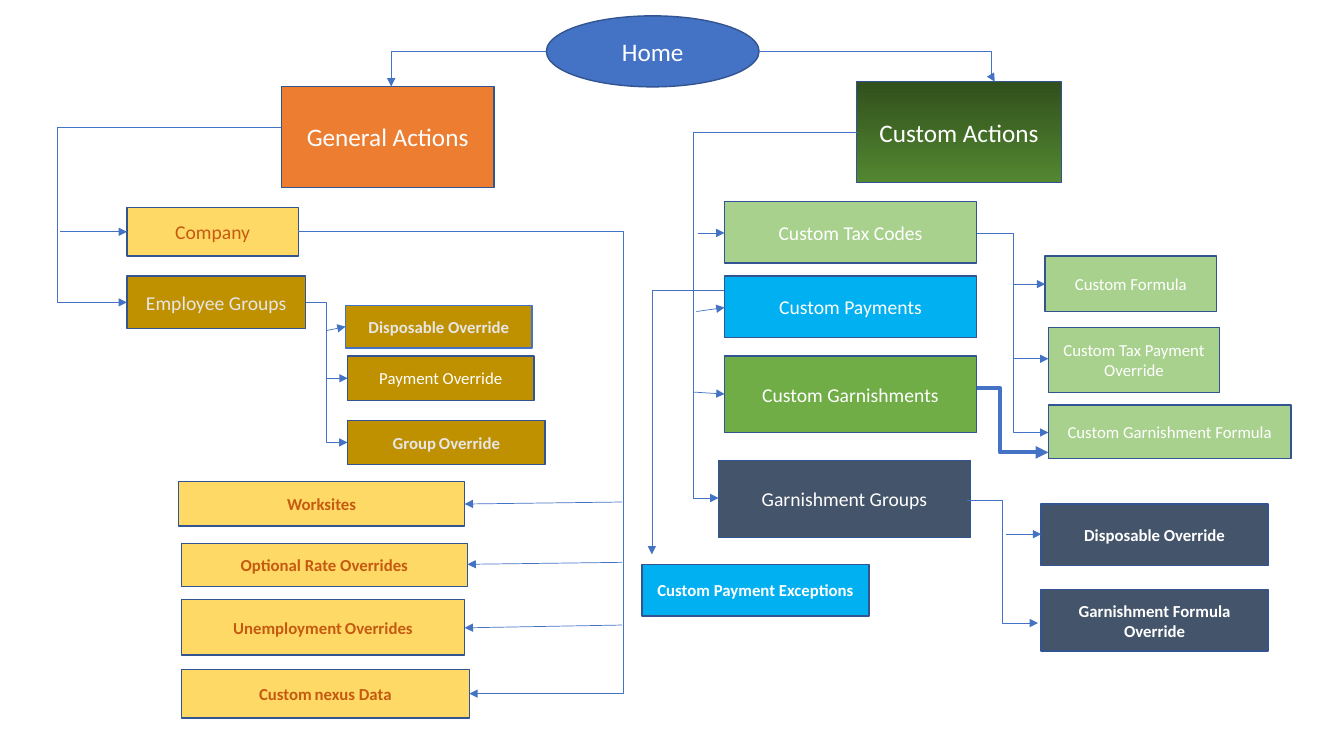
"""Build a one-slide navigation map: Home, its actions and their sub-pages."""
from dataclasses import dataclass
from typing import Optional

from lxml import etree
from pptx import Presentation
from pptx import util as u
from pptx.dml.color import RGBColor
from pptx.enum import shapes, text
from pptx.oxml import ns

WHITE, GREY = "FFFFFF", "E7E6E6"
BLUE, OUTLINE = "4472C4", "325491"
YELLOW, RUST, GOLD = "FFD966", "C55A11", "BF9000"
LIGHT_GREEN, GREEN, CYAN, SLATE = "A9D18E", "70AD47", "00B0F0", "44546A"
DARK_GREENS = ("31501C", "538730")


@dataclass
class Node:
    """A labelled box; lengths in cm, gap is the point size of its first space."""
    label: str
    left: float
    top: float
    width: float
    height: float
    fill: str
    size: int = 14
    color: str = WHITE
    bold: bool = False
    gap: Optional[int] = None
    outline: str = OUTLINE
    oval: bool = False


@dataclass
class Arrow:
    """An arrow in cm; with bend it runs level to that x, then turns down."""
    x1: float
    y1: float
    x2: float
    y2: float
    bend: Optional[float] = None
    weight: float = 0.5


NODES = [
    Node("Home", 13.77, 0.4, 5.36, 1.79, BLUE, 18, oval=True),
    Node("General Actions", 7.09, 2.18, 5.36, 2.54, "ED7D31", 18),
    Node("Company", 3.2, 5.23, 4.32, 1.22, YELLOW, color=RUST),
    Node("Worksites", 4.5, 12.14, 7.21, 1.12, YELLOW, 12, RUST, True),
    Node("Optional Rate Overrides", 4.57, 13.69, 7.21, 1.09, YELLOW, 12, RUST, True),
    Node("Unemployment Overrides", 4.57, 15.11, 7.14, 1.4, YELLOW, 12, RUST, True, 9),
    Node("Custom nexus Data", 4.57, 16.87, 7.26, 1.22, YELLOW, 12, RUST, True, 9),
    Node("Employee Groups", 3.2, 6.96, 4.5, 1.32, GOLD, color=GREY),
    Node("Disposable Override", 8.71, 7.7, 4.7, 1.07, GOLD, 12, GREY, True, 11, BLUE),
    Node("Payment Override", 8.76, 8.97, 4.7, 1.12, GOLD, 12),
    Node("Group Override", 8.76, 10.59, 4.98, 1.12, GOLD, 12, GREY, True, 9),
    Node("Custom Actions", 21.59, 2.06, 5.16, 2.54, DARK_GREENS[0], 18),
    Node("Custom Tax Codes", 18.26, 5.08, 6.35, 1.55, LIGHT_GREEN),
    Node("Custom Formula", 26.34, 6.45, 4.32, 1.4, LIGHT_GREEN, 12),
    Node("Custom Tax Payment Override", 26.42, 8.26, 4.32, 1.63, LIGHT_GREEN, 12),
    Node("Custom Garnishment Formula", 26.42, 10.21, 6.12, 1.35, LIGHT_GREEN, 12),
    Node("Custom Payments", 18.26, 6.96, 6.35, 1.55, CYAN),
    Node("Custom Payment Exceptions", 16.18, 14.22, 5.72, 1.3, CYAN, 12, bold=True),
    Node("Custom Garnishments", 18.26, 8.97, 6.35, 1.93, GREEN),
    Node("Garnishment Groups", 18.11, 11.61, 6.35, 1.93, SLATE),
    Node("Disposable Override", 26.24, 12.7, 5.72, 1.55, SLATE, 12, bold=True),
    Node("Garnishment Formula Override", 26.24, 14.86, 5.72, 1.55, SLATE, 12, bold=True),
]

ARROWS = [
    # Home to both kinds of actions
    Arrow(13.77, 1.3, 9.86, 2.18, bend=9.86),
    Arrow(19.13, 1.3, 25.07, 2.06, bend=24.99),
    # General Actions
    Arrow(7.09, 3.2, 3.2, 7.62, bend=1.45),
    Arrow(1.52, 5.84, 3.2, 5.84),
    # Company
    Arrow(7.52, 5.84, 11.83, 17.48, bend=15.7),
    Arrow(15.67, 12.65, 11.71, 12.7),
    Arrow(15.67, 14.17, 11.78, 14.22),
    Arrow(15.67, 15.75, 11.71, 15.82),
    # Employee Groups
    Arrow(7.7, 7.62, 8.76, 11.15, bend=8.23),
    Arrow(8.23, 8.33, 8.71, 8.23),
    Arrow(8.23, 9.53, 8.76, 9.53),
    # Custom Actions
    Arrow(21.59, 3.33, 18.11, 12.55, bend=17.48),
    Arrow(17.6, 5.87, 18.26, 5.87),
    Arrow(17.55, 7.85, 18.26, 7.75),
    Arrow(17.48, 9.88, 18.26, 9.93),
    # Custom Tax Codes
    Arrow(24.61, 5.87, 26.42, 10.9, bend=25.53),
    Arrow(25.53, 7.16, 26.34, 7.16),
    Arrow(25.53, 9.04, 26.42, 9.04),
    # Custom Payments, Custom Garnishments, Garnishment Groups
    Arrow(18.26, 7.32, 16.43, 13.97, bend=16.43),
    Arrow(24.61, 9.78, 26.42, 11.4, bend=25.2, weight=3),
    Arrow(24.38, 12.62, 26.16, 15.7, bend=25.27),
    Arrow(25.35, 13.46, 26.24, 13.46),
]


def rgb(value: str) -> RGBColor:
    """Turn a hex string into a colour."""
    return RGBColor.from_string(value)


def write(shape, label: str, *, size: int, color: str, bold: bool,
          gap: Optional[int]) -> None:
    """Centre a label in a shape, with its first space at its own size if given."""
    frame = shape.text_frame
    frame.word_wrap = True
    frame.vertical_anchor = text.MSO_ANCHOR.MIDDLE
    paragraph = frame.paragraphs[0]
    paragraph.alignment = text.PP_ALIGN.CENTER
    pieces = label.partition(" ") if gap else (label,)
    for piece in pieces:
        run = paragraph.add_run()
        run.text = piece
        run.font.name = "Calibri"
        run.font.size = u.Pt(gap if piece == " " else size)
        run.font.bold = bold
        run.font.color.rgb = rgb(color)


def draw_node(slide, node: Node):
    """Draw one labelled box and return its shape."""
    kind = shapes.MSO_SHAPE.OVAL if node.oval else shapes.MSO_SHAPE.RECTANGLE
    shape = slide.shapes.add_shape(kind, u.Cm(node.left), u.Cm(node.top),
                                   u.Cm(node.width), u.Cm(node.height))
    shape.shadow.inherit = False
    shape.fill.solid()
    shape.fill.fore_color.rgb = rgb(node.fill)
    shape.line.color.rgb = rgb(node.outline)
    shape.line.width = u.Pt(1)
    write(shape, node.label, size=node.size, color=node.color,
          bold=node.bold, gap=node.gap)
    return shape


def shade(shape, colors: tuple[str, str]) -> None:
    """Fill a shape with a gradient from top to bottom."""
    shape.fill.gradient()
    shape.fill.gradient_angle = 270
    for stop, position, color in zip(shape.fill.gradient_stops, (0, 1), colors):
        stop.position = position
        stop.color.rgb = rgb(color)


def draw_arrow(slide, arrow: Arrow) -> None:
    """Draw a straight or elbow arrow."""
    kinds = shapes.MSO_CONNECTOR
    kind = kinds.STRAIGHT if arrow.bend is None else kinds.ELBOW
    connector = slide.shapes.add_connector(
        kind, u.Cm(arrow.x1), u.Cm(arrow.y1), u.Cm(arrow.x2), u.Cm(arrow.y2))
    connector.line.color.rgb = rgb(BLUE)
    connector.line.width = u.Pt(arrow.weight)
    properties = connector._element.spPr
    line = properties.find(ns.qn("a:ln"))
    etree.SubElement(line, ns.qn("a:tailEnd"), type="triangle")
    etree.SubElement(properties, ns.qn("a:effectLst"))
    if arrow.bend is None:
        return
    geometry = properties.find(ns.qn("a:prstGeom"))
    if arrow.bend == arrow.x2:
        geometry.set("prst", "bentConnector2")
        return
    share = (arrow.bend - arrow.x1) / (arrow.x2 - arrow.x1)
    guides = geometry.find(ns.qn("a:avLst"))
    etree.SubElement(guides, ns.qn("a:gd"), name="adj1",
                     fmla=f"val {round(share * 100000)}")


def main() -> None:
    """Build and save the slide."""
    presentation = Presentation()
    presentation.slide_width, presentation.slide_height = u.Cm(33.87), u.Cm(19.05)
    slide = presentation.slides.add_slide(presentation.slide_layouts[6])
    for node in NODES:
        shape = draw_node(slide, node)
        if node.label == "Custom Actions":
            shade(shape, DARK_GREENS)
    for arrow in ARROWS:
        draw_arrow(slide, arrow)
    presentation.save("out.pptx")


main()
